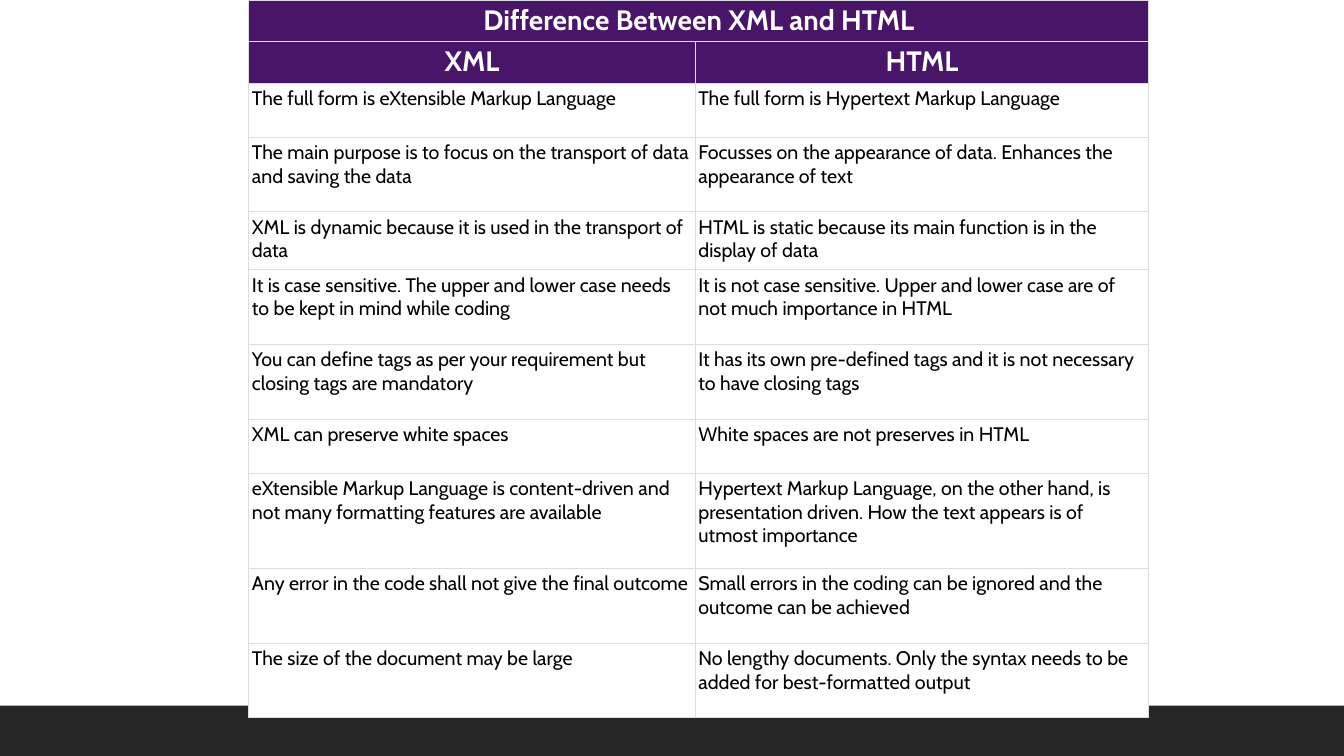
from dataclasses import dataclass

from lxml import etree
from pptx import Presentation
from pptx.dml.color import RGBColor
from pptx.enum.shapes import MSO_SHAPE
from pptx.enum.text import PP_ALIGN
from pptx.oxml.ns import qn
from pptx.util import Cm, Pt

RECTANGLE = MSO_SHAPE.RECTANGLE
CENTER, LEFT = PP_ALIGN.CENTER, PP_ALIGN.LEFT


@dataclass(frozen=True)
class Theme:
    font: str = "Cabin"
    heading_size: int = 20
    body_size: int = 14
    heading_fill: str = "491569"
    heading_text: str = "FFFFFF"
    body_fill: str = "FFFFFF"
    body_text: str = "000000"
    grid: str = "DDDDDD"
    footer: str = "262626"


THEME = Theme()
GRID_WIDTH = Pt(0.75)
CELL_MARGIN = Cm(0.08)
HEADING_ROWS = 2
COLUMN_WIDTHS = (11.25, 11.43)

# Row height in cm, then the text of the XML and HTML columns
COMPARISON = [
    (1.05, "Difference Between XML and HTML", ""),
    (1.05, "XML", "HTML"),
    (1.36, "The full form is eXtensible Markup Language",
     "The full form is Hypertext Markup Language"),
    (1.88, "The main purpose is to focus on the transport of data and saving the data",
     "Focusses on the appearance of data. Enhances the appearance of text"),
    (1.46, "XML is dynamic because it is used in the transport of data",
     "HTML is static because its main function is in the display of data"),
    (1.88, "It is case sensitive. The upper and lower case needs to be kept in mind while coding",
     "It is not case sensitive. Upper and lower case are of not much importance in HTML"),
    (1.88, "You can define tags as per your requirement but closing tags are mandatory",
     "It has its own pre-defined tags and it is not necessary to have closing tags"),
    (1.36, "XML can preserve white spaces",
     "White spaces are not preserves in HTML"),
    (2.41, "eXtensible Markup Language is content-driven and not many formatting features "
     "are available",
     "Hypertext Markup Language, on the other hand, is presentation driven. "
     "How the text appears is of utmost importance"),
    (1.88, "Any error in the code shall not give the final outcome",
     "Small errors in the coding can be ignored and the outcome can be achieved"),
    (1.88, "The size of the document may be large",
     "No lengthy documents. Only the syntax needs to be added for best-formatted output"),
]


def rgb(value):
    return RGBColor.from_string(value)


def add_footer_bar(page, left, top, width, height):
    bar = page.shapes.add_shape(RECTANGLE, left, top, width, height)
    bar.shadow.inherit = False
    bar.fill.solid()
    bar.fill.fore_color.rgb = rgb(THEME.footer)
    bar.line.fill.background()


def add_cell_borders(cell):
    """Draw the four sides; call before the fill, which must follow them in the XML."""
    properties = cell._tc.get_or_add_tcPr()
    for side in ("a:lnL", "a:lnR", "a:lnT", "a:lnB"):
        line = etree.SubElement(properties, qn(side), w=str(GRID_WIDTH))
        fill = etree.SubElement(line, qn("a:solidFill"))
        etree.SubElement(fill, qn("a:srgbClr"), val=THEME.grid)


def format_cell(cell, is_heading):
    cell.margin_left = cell.margin_right = CELL_MARGIN
    cell.margin_top = cell.margin_bottom = CELL_MARGIN
    add_cell_borders(cell)
    cell.fill.solid()
    cell.fill.fore_color.rgb = rgb(THEME.heading_fill if is_heading else THEME.body_fill)
    para = cell.text_frame.paragraphs[0]
    para.alignment = CENTER if is_heading else LEFT
    para.font.name = THEME.font
    para.font.size = Pt(THEME.heading_size if is_heading else THEME.body_size)
    para.font.bold = is_heading
    para.font.color.rgb = rgb(THEME.heading_text if is_heading else THEME.body_text)


def add_comparison_table(page, left, top, width, height):
    frame = page.shapes.add_table(len(COMPARISON), len(COLUMN_WIDTHS), left, top, width, height)
    table = frame.table
    table.first_row = table.horz_banding = False
    for column, column_width in zip(table.columns, COLUMN_WIDTHS):
        column.width = Cm(column_width)
    for index, (row_height, *texts) in enumerate(COMPARISON):
        row = table.rows[index]
        row.height = Cm(row_height)
        for cell, text in zip(row.cells, texts):
            cell.text = text
            format_cell(cell, index < HEADING_ROWS)
    table.cell(0, 0).merge(table.cell(0, 1))


def main():
    deck = Presentation()
    deck.slide_width, deck.slide_height = Cm(33.87), Cm(19.05)
    page = deck.slides.add_slide(deck.slide_layouts[6])
    footer_height = Cm(1.27)
    add_footer_bar(page, 0, deck.slide_height - footer_height, deck.slide_width, footer_height)
    table_height = sum(row[0] for row in COMPARISON)
    add_comparison_table(page, Cm(6.27), 0, Cm(sum(COLUMN_WIDTHS)), Cm(table_height))
    deck.save("out.pptx")


if __name__ == "__main__":
    main()
